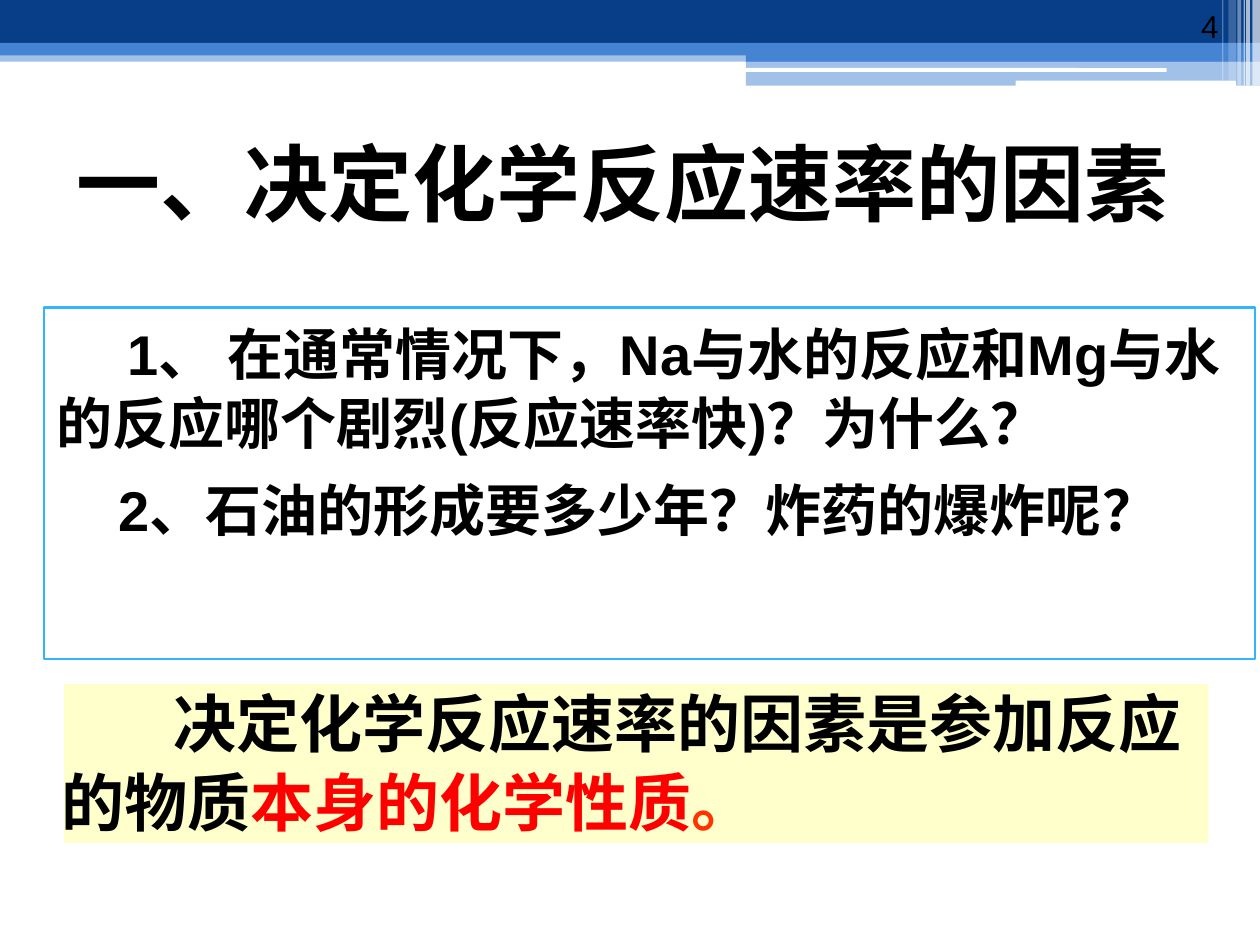
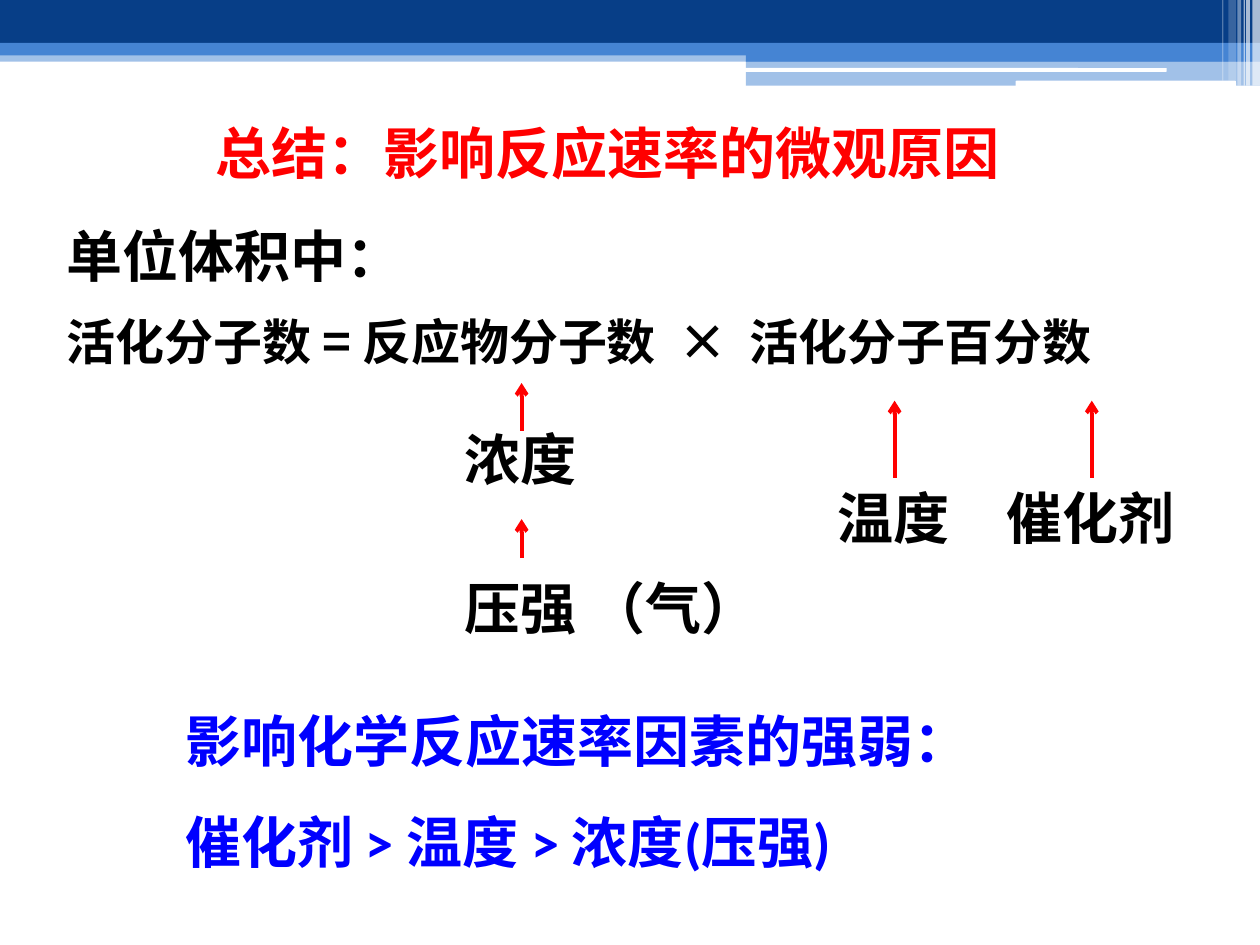
from lxml import etree
from pptx import Presentation
from pptx import util as u
from pptx.dml.color import RGBColor
from pptx.enum import shapes, text
from pptx.oxml import ns

I = u.Inches
C = {"navy": "073E87", "blue": "4584D3", "white": "FFFFFF", "black": "000000",
     "sky": "31B6FD", "cream": "FFFFCC", "red": "FF0000", "orange": "FF3300",
     "pure_blue": "0000FF"}
CJK = "Noto Sans CJK SC"
LEADING = 1.2  # line height as a multiple of the text size

# Header bands: left, top, width, height, colour, opacity in percent
BANDS = [(0, 0.4, 10, 0.09, "blue", 50), (0, 0, 10, 0.34, "navy", 100),
         (0, 0.34, 10, 0.1, "blue", 100), (5.92, 0.39, 4.08, 0.1, "blue", 100),
         (5.92, 0.48, 4.08, 0.2, "blue", 50)]
RULES = [(5.91, 0.54, 3.35, 0.03, "white", 100), (8.06, 0.64, 1.75, 0.05, "white", 100)]
STRIPES = [(x, 0, w, h, "white", a) for x, w, h, a in (
    (9.94, 0.06, 0.68, 65), (9.89, 0.03, 0.68, 65), (9.87, 0.01, 0.68, 60),
    (9.82, 0.03, 0.68, 40), (9.75, 0.06, 0.64, 20), (9.7, 0.01, 0.64, 30))]


def rgb(name):
    return RGBColor.from_string(C[name])


def set_attrs(obj, values):
    for name, value in values.items():
        setattr(obj, name, value)


def place(sp, box):
    set_attrs(sp, dict(zip(("left", "top", "width", "height"), map(I, box))))


def fill(sp, colour):
    sp.fill.solid()
    sp.fill.fore_color.rgb = rgb(colour)


def add_bands(prs, s):
    """Draw the header bands and move them to the master, behind its text."""
    tree = prs.slide_master.element.cSld.spTree
    for i, (*box, colour, opacity) in enumerate(BANDS + RULES + STRIPES):
        rounded = len(BANDS) <= i < len(BANDS + RULES)
        kind = shapes.MSO_SHAPE.ROUNDED_RECTANGLE if rounded else shapes.MSO_SHAPE.RECTANGLE
        sp = s.shapes.add_shape(kind, *map(I, box))
        sp.name = f"Band {i + 1}"
        sp.shadow.inherit = False
        sp.line.fill.background()
        fill(sp, colour)
        if opacity < 100:
            clr = sp.element.spPr.find(".//" + ns.qn("a:srgbClr"))
            etree.SubElement(clr, ns.qn("a:alpha"), val=str(opacity * 1000))
        sp.element.nvSpPr.cNvPr.set("id", str(100 + i))
        tree.insert(2 + i, sp.element)


def write(sp, paras, size, font, colour="black", bold=True, ea=CJK, pitch=None,
          indents=(0, 0), before=0, align=text.PP_ALIGN.LEFT, **frame):
    """Fill a shape with paragraphs, each a list of (text, colour) or a string."""
    tf = sp.text_frame
    set_attrs(tf, {"word_wrap": True, "auto_size": text.MSO_AUTO_SIZE.NONE,
                   "vertical_anchor": text.MSO_ANCHOR.TOP, "margin_left": I(0.1),
                   "margin_top": I(0.05), "margin_right": 0, "margin_bottom": 0, **frame})
    for i, (para, indent) in enumerate(zip(paras, indents)):
        p = tf.paragraphs[0] if i == 0 else tf.add_paragraph()
        set_attrs(p, {"alignment": align, "line_spacing": u.Pt(pitch or size * LEADING),
                      "space_before": u.Pt(before if i else 0)})
        pPr = p._p.get_or_add_pPr()
        pPr.set("marL", "0")
        pPr.set("indent", str(I(indent)))
        etree.SubElement(pPr, ns.qn("a:buNone"))
        for words, tint in [(para, colour)] if isinstance(para, str) else para:
            r = p.add_run()
            r.text = words
            set_attrs(r.font, {"size": u.Pt(size), "bold": bold, "name": font})
            r.font.color.rgb = rgb(tint)
            r.font._element.find(ns.qn("a:latin")).addnext(
                etree.Element(ns.qn("a:ea"), typeface=ea))


def add_text(s, box, paras, size, font, **fmt):
    sp = s.shapes.add_textbox(*map(I, box))
    write(sp, paras, size, font, **fmt)
    return sp


def add_title(s, box, words, size, font, colour):
    place(s.shapes.title, box)
    write(s.shapes.title, [words], size, font, colour=colour)


def add_questions(s, box):
    sp = s.placeholders[1]
    place(sp, box)
    fill(sp, "white")
    sp.line.color.rgb = rgb("sky")
    sp.line.width = u.Pt(1.5)
    write(sp, ["1、 在通常情况下，Na与水的反应和Mg与水的反应哪个剧烈(反应速率快)？为什么？",
               "2、石油的形成要多少年？炸药的爆炸呢？"],
          32, "Arial", pitch=39.5, indents=(0.56, 0.49), before=10, margin_top=I(0.08))


def add_conclusion(s, box):
    sp = s.shapes.add_shape(shapes.MSO_SHAPE.RECTANGLE, *map(I, box))
    sp.shadow.inherit = False
    sp.line.fill.background()
    fill(sp, "cream")
    write(sp, [[("决定化学反应速率的因素是参加反应的物质", "black"),
                ("本身的化学性质", "red"), ("。", "orange")]],
          36, "Noto Sans CJK JP", ea="Noto Sans CJK JP", pitch=45, indents=(0.89,),
          margin_left=I(-0.02), margin_top=I(-0.02))


def add_factor(s, box, label, arrow_x, start, end):
    """A factor's name with the red arrow that rises from it."""
    sp = add_text(s, box, [label], 32, "Cambria")
    cx = s.shapes.add_connector(shapes.MSO_CONNECTOR.STRAIGHT, I(arrow_x), I(start),
                                I(arrow_x), I(end))
    if start == box[1]:
        cx.begin_connect(sp, 0)
        cx.end_x = cx.begin_x
    cx.line.color.rgb = rgb("red")
    cx.line.width = u.Pt(2.25)
    etree.SubElement(cx.line._get_or_add_ln(), ns.qn("a:tailEnd"), type="arrow")
    etree.SubElement(cx._element.spPr, ns.qn("a:effectLst"))


def build_deciding_factor(s):
    add_title(s, (0.51, 0.99, 9.29, 0.91), "一、决定化学反应速率的因素", 48, "Arial", "black")
    add_questions(s, (0.35, 2.44, 9.61, 2.79))
    add_conclusion(s, (0.51, 5.43, 9.08, 1.26))
    # Page number
    add_text(s, (8.94, 0, 0.83, 0.4), ["4"], 18, "Arial", bold=False,
             align=text.PP_ALIGN.RIGHT, pitch=21, margin_right=I(0.1),
             margin_bottom=I(0.04), vertical_anchor=text.MSO_ANCHOR.BOTTOM)


def build_summary(s):
    add_title(s, (1.61, 0.89, 6.75, 0.64), "总结：影响反应速率的微观原因", 32, "Cambria", "red")
    # Equation
    add_text(s, (0.43, 1.71, 3.98, 0.64), ["单位体积中："], 32, "Cambria")
    add_text(s, (0.43, 2.42, 9.28, 0.57),
             ["活化分子数 = 反应物分子数  ×  活化分子百分数"], 28, CJK)
    # Factors under the equation's terms
    for left, top, width, label, arrow_x, start, end in (
            (3.59, 3.32, 1.1, "浓度", 4.14, 3.42, 3.04),
            (3.59, 4.5, 2.58, "压强 （气）", 4.14, 4.43, 4.12),
            (6.55, 3.79, 1.1, "温度", 7.1, 3.79, 3.18),
            (7.89, 3.79, 1.55, "催化剂", 8.66, 3.79, 3.18)):
        add_factor(s, (left, top, width, 0.64), label, arrow_x, start, end)
    # Ranking
    add_text(s, (1.37, 5.3, 6.51, 1.72),
             ["影响化学反应速率因素的强弱：", "催化剂 > 温度 > 浓度(压强)"],
             32, "Calibri", colour="pure_blue", pitch=57.6, margin_top=I(0.04))


def main():
    prs = Presentation()
    set_attrs(prs, {"slide_width": I(10), "slide_height": I(7.5)})
    title_body, title_only = prs.slide_layouts[1], prs.slide_layouts[5]
    s = prs.slides.add_slide(title_body)
    add_bands(prs, s)
    build_deciding_factor(s)
    build_summary(prs.slides.add_slide(title_only))
    prs.save("out.pptx")


if __name__ == "__main__":
    main()
